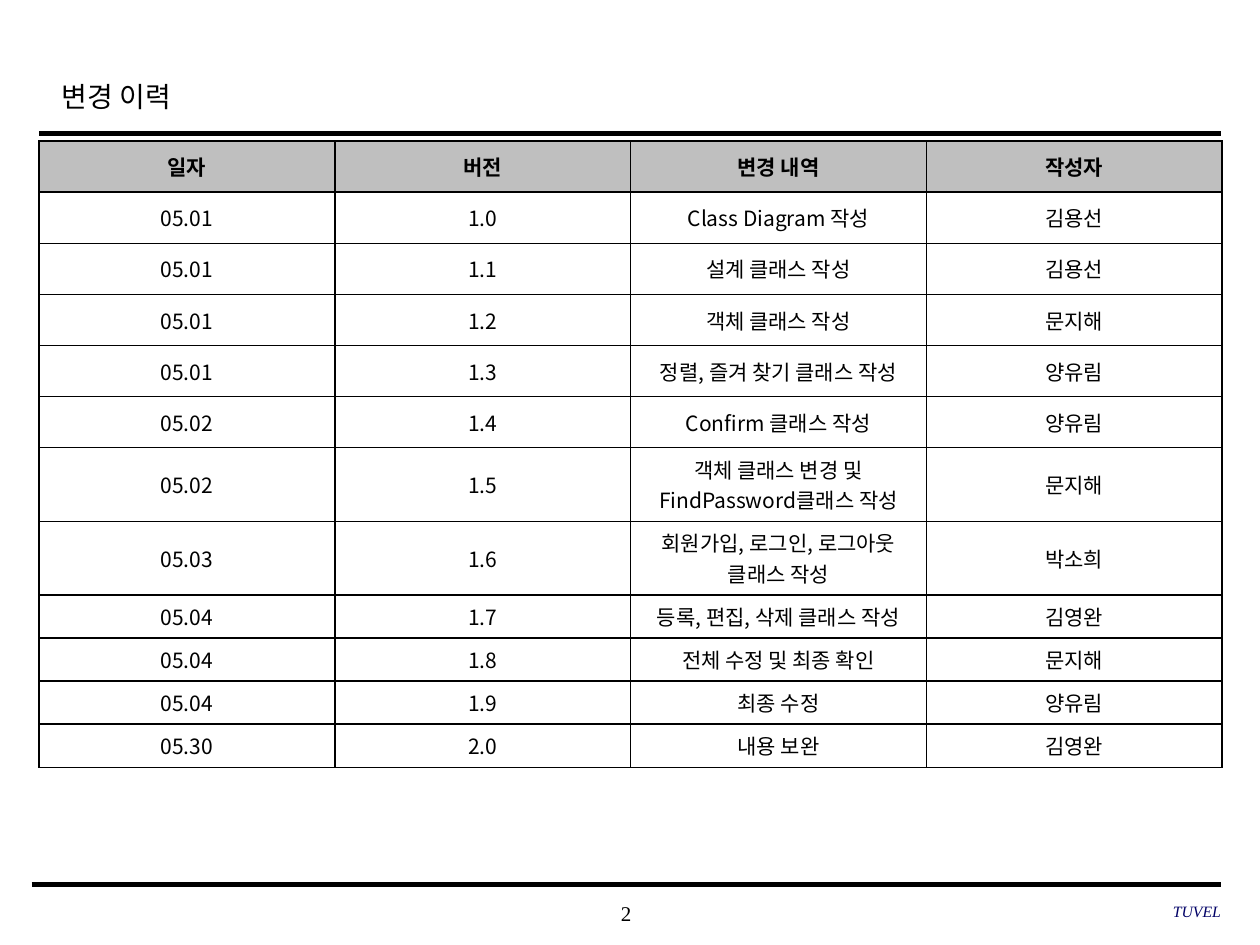
from lxml import etree
from pptx import Presentation
from pptx.dml.color import RGBColor
from pptx.enum.shapes import MSO_CONNECTOR
from pptx.enum.text import MSO_ANCHOR, PP_ALIGN
from pptx.oxml.ns import qn
from pptx.util import Inches, Pt

LEFT, CENTER, RIGHT = PP_ALIGN.LEFT, PP_ALIGN.CENTER, PP_ALIGN.RIGHT
MIDDLE = MSO_ANCHOR.MIDDLE
STRAIGHT = MSO_CONNECTOR.STRAIGHT
TITLE_ONLY = 5
SERIF, SANS = "Times New Roman", "Noto Sans CJK KR"
BLACK, WHITE, GREY, NAVY = "000000", "FFFFFF", "BFBFBF", "000066"

HISTORY = [
    ("일자", "버전", "변경 내역", "작성자"),
    ("05.01", "1.0", "Class Diagram 작성", "김용선"),
    ("05.01", "1.1", "설계 클래스 작성", "김용선"),
    ("05.01", "1.2", "객체 클래스 작성", "문지해"),
    ("05.01", "1.3", "정렬, 즐겨 찾기 클래스 작성", "양유림"),
    ("05.02", "1.4", "Confirm 클래스 작성", "양유림"),
    ("05.02", "1.5", "객체 클래스 변경 및 FindPassword클래스 작성", "문지해"),
    ("05.03", "1.6", "회원가입, 로그인, 로그아웃 클래스 작성", "박소희"),
    ("05.04", "1.7", "등록, 편집, 삭제 클래스 작성", "김영완"),
    ("05.04", "1.8", "전체 수정 및 최종 확인", "문지해"),
    ("05.04", "1.9", "최종 수정", "양유림"),
    ("05.30", "2.0", "내용 보완", "김영완"),
]
# Row heights in points; rows grow to fit their text
ROW_HEIGHTS = [29.2] * 7 + [18, 18, 12, 11, 11]


def color(value):
    return RGBColor.from_string(value)


def write(frame, text, align, size, font=SERIF, ink=BLACK, **styles):
    para = frame.paragraphs[0]
    para.alignment = align
    span = para.add_run()
    span.text = text
    for name, value in {"name": font, "size": Pt(size), **styles}.items():
        setattr(span.font, name, value)
    span.font.color.rgb = color(ink)
    east_asian = etree.SubElement(span.font._element, qn("a:ea"))
    east_asian.set("typeface", SANS)
    return para


def add_rule(page, left, right, top, weight):
    ends = [Inches(value) for value in (left, top, right, top)]
    rule = page.shapes.add_connector(STRAIGHT, *ends)
    rule.line.color.rgb = color(BLACK)
    rule.line.width = Pt(weight)
    etree.SubElement(rule._element.spPr, qn("a:effectLst"))


def add_label(page, box, text, align, size, **styles):
    frame = page.shapes.add_textbox(*map(Inches, box)).text_frame
    margins = dict.fromkeys(("margin_left", "margin_right", "margin_top", "margin_bottom"), 0)
    for name, value in {**margins, "word_wrap": True, "vertical_anchor": MIDDLE}.items():
        setattr(frame, name, value)
    write(frame, text, align, size, **styles)


def add_header(page, box):
    left, top, width, height = box
    title = page.shapes.title
    for name, value in zip(("left", "top", "width", "height"), (left + 0.08, top, 7.55, height)):
        setattr(title, name, Inches(value))
    title.text_frame.vertical_anchor = MIDDLE
    write(title.text_frame, "변경 이력", LEFT, 16).line_spacing = 1.2
    add_rule(page, left, left + width, top + height + 0.07, 2.5)


def add_footer(page, box):
    left, top, width, height = box
    right = left + width
    add_rule(page, left, right, top, 3)
    add_label(page, (3.93, top + 0.06, 2.08, height), "2", CENTER, 12)
    add_label(page, (right - 3.06, top + 0.05, 3.06, height), "TUVEL", RIGHT, 9,
              ink=NAVY, italic=True)


def add_borders(cell):
    properties = cell._tc.get_or_add_tcPr()
    for index, side in enumerate(("lnL", "lnR", "lnT", "lnB")):
        border = etree.Element(qn(f"a:{side}"), w=str(Pt(1)))
        fill = etree.SubElement(border, qn("a:solidFill"))
        etree.SubElement(fill, qn("a:srgbClr"), val=BLACK)
        properties.insert(index, border)


def add_history(page, box):
    left, top, width, height = map(Inches, box)
    columns = len(HISTORY[0])
    table = page.shapes.add_table(len(HISTORY), columns, left, top, width, height).table
    for column in table.columns:
        column.width = width // columns
    for index, (values, row_height) in enumerate(zip(HISTORY, ROW_HEIGHTS)):
        table.rows[index].height = Pt(row_height)
        is_head = index == 0
        for cell, text in zip(table.rows[index].cells, values):
            cell.fill.solid()
            cell.fill.fore_color.rgb = color(GREY if is_head else WHITE)
            cell.vertical_anchor = MIDDLE
            cell.margin_left = cell.margin_right = Inches(0.08)
            write(cell.text_frame, text, CENTER, 12, font=SANS, bold=is_head)
            add_borders(cell)


deck = Presentation()
deck.slide_width, deck.slide_height = Inches(10), Inches(7.5)
page = deck.slides.add_slide(deck.slide_layouts[TITLE_ONLY])
add_header(page, (0.31, 0.49, 9.38, 0.5))
add_history(page, (0.31, 1.12, 9.39, 4.63))
add_footer(page, (0.25, 7.02, 9.44, 0.33))
deck.save("out.pptx")
